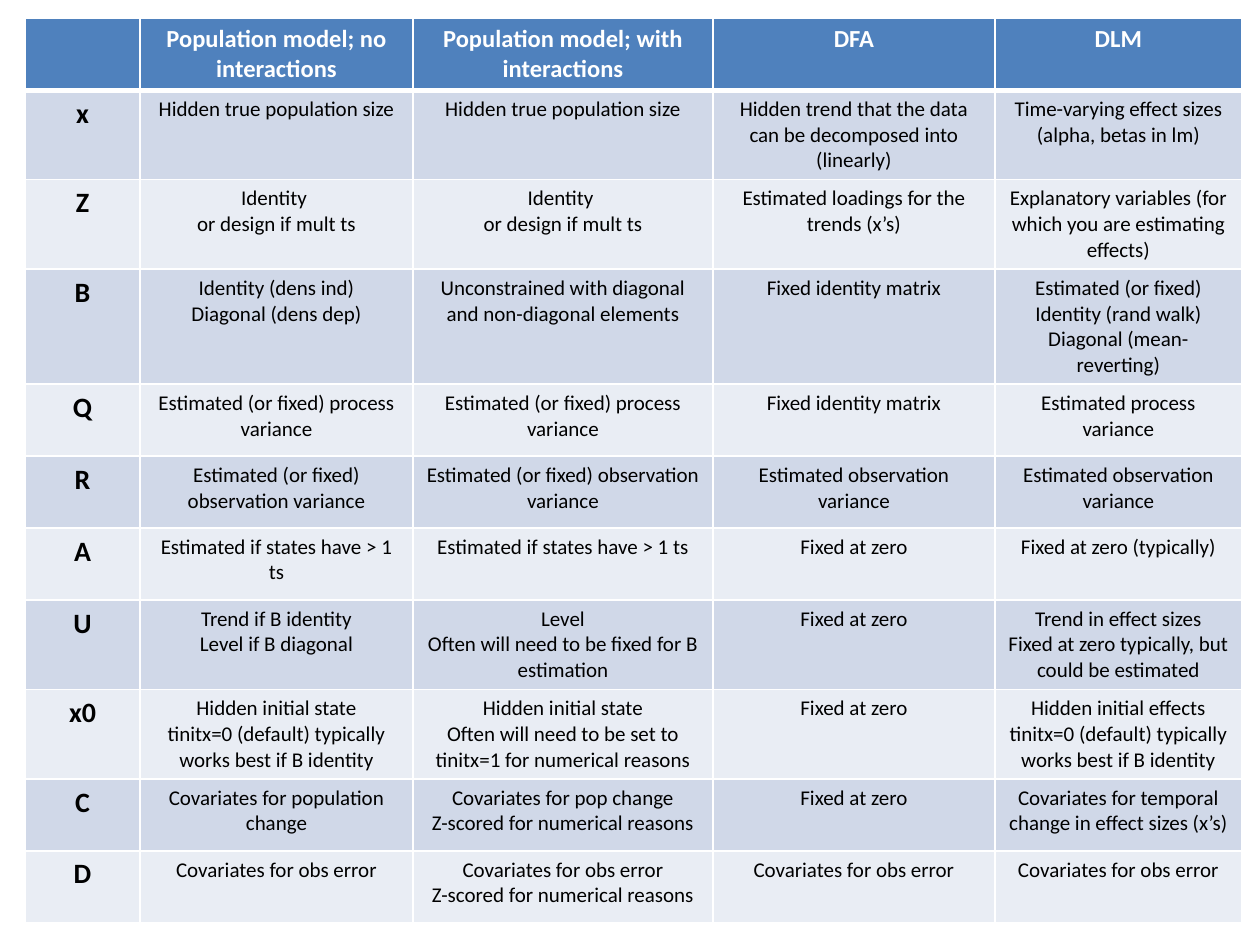
import pptx
import pptx.util
import pptx.dml.color
import pptx.enum.text
import pptx.oxml
import pptx.oxml.ns
from dataclasses import dataclass

PIXEL = 914400 // 126


@dataclass(frozen=True)
class Theme:
    font: str = "Calibri"
    header_fill: str = "4F81BD"
    bands: tuple = ("D0D8E8", "E9EDF4")
    rule: str = "FFFFFF"
    header_text: str = "FFFFFF"
    body_text: str = "000000"
    header_size: int = 14
    symbol_size: int = 16
    body_size: int = 12
    thin: int = 1
    thick: int = 3


THEME = Theme()

MODELS = ["", "Population model; no interactions",
          "Population model; with interactions", "DFA", "DLM"]

PARAMETERS = [
    ["x", "Hidden true population size", "Hidden true population size",
     "Hidden trend that the data can be decomposed into (linearly)",
     "Time-varying effect sizes (alpha, betas in lm)"],
    ["Z", "Identity \nor design if mult ts", "Identity \nor design if mult ts",
     "Estimated loadings for the trends (x’s)",
     "Explanatory variables (for which you are estimating effects)"],
    ["B", "Identity (dens ind)\nDiagonal (dens dep)",
     "Unconstrained with diagonal and non-diagonal elements",
     "Fixed identity matrix",
     "Estimated (or fixed)\nIdentity (rand walk)\nDiagonal (mean-reverting)"],
    ["Q", "Estimated (or fixed) process variance",
     "Estimated (or fixed) process variance",
     "Fixed identity matrix", "Estimated process variance"],
    ["R", "Estimated (or fixed) observation variance",
     "Estimated (or fixed) observation variance",
     "Estimated observation variance", "Estimated observation variance"],
    ["A", "Estimated if states have > 1 ts", "Estimated if states have > 1 ts",
     "Fixed at zero", "Fixed at zero (typically)"],
    ["U", "Trend if B identity\nLevel if B diagonal",
     "Level\nOften will need to be fixed for B estimation",
     "Fixed at zero",
     "Trend in effect sizes\nFixed at zero typically, but could be estimated"],
    ["x0", "Hidden initial state\ntinitx=0 (default) typically works best if B identity",
     "Hidden initial state\nOften will need to be set to tinitx=1 for numerical reasons",
     "Fixed at zero",
     "Hidden initial effects\ntinitx=0 (default) typically works best if B identity"],
    ["C", "Covariates for population change",
     "Covariates for pop change\nZ-scored for numerical reasons",
     "Fixed at zero", "Covariates for temporal change in effect sizes (x’s)"],
    ["D", "Covariates for obs error",
     "Covariates for obs error\nZ-scored for numerical reasons",
     "Covariates for obs error", "Covariates for obs error"],
]


def px(length):
    return pptx.util.Emu(length * PIXEL)


def rgb(value):
    return pptx.dml.color.RGBColor.from_string(value)


def cell_format(row, column):
    if row == 0:
        return THEME.header_text, {"size": THEME.header_size, "bold": True}
    if column == 0:
        return THEME.body_text, {"size": THEME.symbol_size, "bold": True}
    return THEME.body_text, {"size": THEME.body_size, "bold": False}


def write_text(cell, text, color, values):
    cell.text = text
    values = {**values, "size": pptx.util.Pt(values["size"]), "name": THEME.font}
    for paragraph in cell.text_frame.paragraphs:
        paragraph.alignment = pptx.enum.text.PP_ALIGN.CENTER
        for run in paragraph.runs:
            for name, value in values.items():
                setattr(run.font, name, value)
            run.font.color.rgb = rgb(color)


def rule_cell(cell, row):
    properties = cell._tc.get_or_add_tcPr()
    widths = {"L": THEME.thin, "R": THEME.thin,
              "T": THEME.thick if row == 1 else THEME.thin,
              "B": THEME.thick if row == 0 else THEME.thin}
    for position, (side, width) in enumerate(widths.items()):
        properties.insert(position, pptx.oxml.parse_xml(
            f'<a:ln{side} {pptx.oxml.ns.nsdecls("a")} w="{pptx.util.Pt(width)}">'
            f'<a:solidFill><a:srgbClr val="{THEME.rule}"/></a:solidFill></a:ln{side}>'))


def model_table(slide, left, top, column_widths, row_height):
    content = [MODELS] + PARAMETERS
    table = slide.shapes.add_table(
        len(content), len(MODELS), px(left), px(top),
        px(sum(column_widths)), px(row_height * len(content))).table
    for column, width in zip(table.columns, column_widths):
        column.width = px(width)
    for r, texts in enumerate(content):
        table.rows[r].height = px(row_height)
        fill = THEME.bands[(r - 1) % 2] if r else THEME.header_fill
        for c, text in enumerate(texts):
            cell = table.cell(r, c)
            cell.fill.solid()
            cell.fill.fore_color.rgb = rgb(fill)
            write_text(cell, text, *cell_format(r, c))
            rule_cell(cell, r)


deck = pptx.Presentation()
deck.slide_width, deck.slide_height = px(1260), px(945)
comparison = deck.slides.add_slide(deck.slide_layouts[6])
model_table(comparison, 25, 18, [115, 273, 300, 282, 247], 72)
deck.save("out.pptx")
